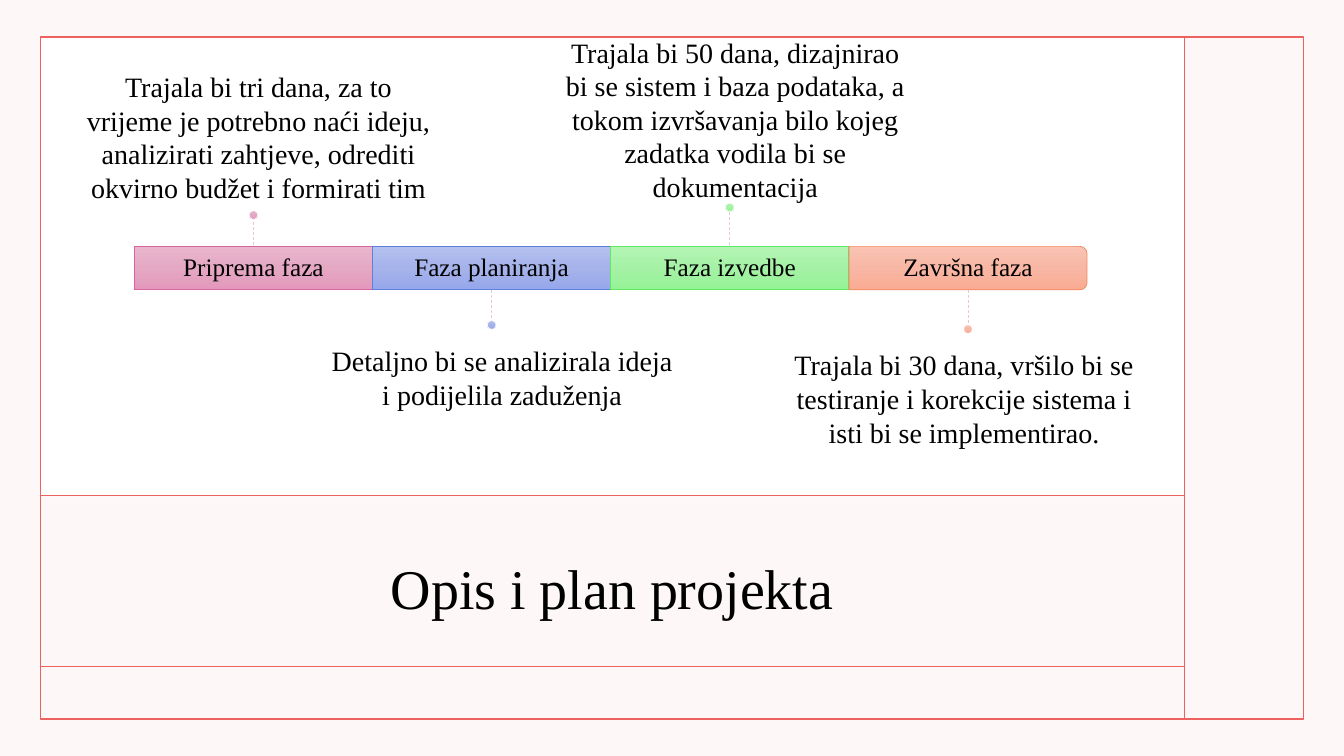
import copy
from dataclasses import dataclass

import pptx
import pptx.dml.color
import pptx.enum.dml
import pptx.enum.shapes
import pptx.enum.text
import pptx.oxml
import pptx.oxml.ns
import pptx.util

Pt = pptx.util.Pt
Kind = pptx.enum.shapes.MSO_SHAPE
Anchor = pptx.enum.text.MSO_ANCHOR


@dataclass(frozen=True)
class Theme:
    font: str = "Times New Roman"
    ink: str = "000000"
    paper: str = "FEF7F7"
    white: str = "FFFFFF"
    rule: str = "ED625F"
    stalk: str = "EBC6D5"
    title: int = 40
    note: int = 20
    label: int = 18


THEME = Theme()

# Label, gradient, outline, whether the note is above, dot top, note top, note left, note height, note
PHASES = [
    ("Priprema faza", ("E9B6CD", "E4A8C3", "E398BB"), "D4669D", True, 150.5, 46, 52, 104.5,
     "Trajala bi tri dana, za to vrijeme je potrebno naći ideju, "
     "analizirati zahtjeve, odrediti okvirno budžet i formirati tim"),
    ("Faza planiranja", ("B4C0EF", "A6B3EB", "96A7EB"), "617FDF", False, 229, 242, 226, 55.5,
     "Detaljno bi se analizirala ideja i podijelila zaduženja"),
    ("Faza izvedbe", ("B4F5B5", "A5F2A6", "95F396"), "5DE960", True, 145, 21.5, 392.5, 128,
     "Trajala bi 50 dana, dizajnirao bi se sistem i baza podataka, a tokom "
     "izvršavanja bilo kojeg zadatka vodila bi se dokumentacija"),
    ("Završna faza", ("FAC3B3", "F8B7A4", "FAAB93"), "F2855A", False, 232, 245, 556, 80,
     "Trajala bi 30 dana, vršilo bi se testiranje i korekcije sistema i isti bi se implementirao."),
]


def tint(code):
    return pptx.dml.color.RGBColor.from_string(code)


def blend(item, codes, angle):
    """Fill a shape with an even three-stop gradient."""
    item.fill.gradient()
    item.fill.gradient_angle = angle
    stops = item._element.spPr.find(".//" + pptx.oxml.ns.qn("a:gsLst"))
    stops.insert(1, copy.deepcopy(stops[0]))
    for rank, (stop, code) in enumerate(zip(item.fill.gradient_stops, codes)):
        stop.position = rank / 2
        stop.color.rgb = tint(code)


def shape(slide, kind, box, fill=None, line=None, width=1, angle=270):
    item = slide.shapes.add_shape(kind, *map(Pt, box))
    item.shadow.inherit = False
    if isinstance(fill, tuple):
        blend(item, fill, angle)
    elif fill:
        item.fill.solid()
        item.fill.fore_color.rgb = tint(fill)
    else:
        item.fill.background()
    if line:
        item.line.color.rgb = tint(line)
        item.line.width = Pt(width)
    else:
        item.line.fill.background()
    return item


def rule(slide, start, end, color, width=1, dash=None):
    straight = pptx.enum.shapes.MSO_CONNECTOR.STRAIGHT
    item = slide.shapes.add_connector(straight, *map(Pt, start + end))
    item.line.color.rgb = tint(color)
    item.line.width = Pt(width)
    if dash:
        item.line.dash_style = dash
    item._element.spPr.append(pptx.oxml.parse_xml(
        f"<a:effectLst {pptx.oxml.ns.nsdecls('a')}/>"))


def write(item, text, size, anchor=Anchor.TOP, pad=None, gap=None):
    frame = item.text_frame
    frame.word_wrap = True
    frame.auto_size = pptx.enum.text.MSO_AUTO_SIZE.NONE
    frame.vertical_anchor = anchor
    if pad is not None:
        frame.margin_left = frame.margin_right = Pt(pad)
        frame.margin_top = frame.margin_bottom = 0
    para = frame.paragraphs[0]
    para.alignment = pptx.enum.text.PP_ALIGN.CENTER
    if gap:
        para.line_spacing = gap
    run = para.add_run()
    run.text = text
    run.font.name = THEME.font
    run.font.size = Pt(size)
    run.font.color.rgb = tint(THEME.ink)


def frame(slide, box):
    """Draw the ruled page frame with its white panel."""
    left, top, wide, high = box
    side = left + 817
    shape(slide, Kind.RECTANGLE, (left, top, 817, 328), fill=THEME.white)
    rule(slide, (side, top), (side, top + high), THEME.rule)
    for drop in (327.5, 449.5):
        rule(slide, (left, top + drop), (side, top + drop), THEME.rule)
    shape(slide, Kind.RECTANGLE, box, line=THEME.rule)


def head(slide, box):
    title = slide.shapes.title
    title.left, title.top, title.width, title.height = map(Pt, box)
    write(title, "Opis i plan projekta", THEME.title, anchor=Anchor.MIDDLE)


def phase(slide, box, data, last):
    """Draw one bar of the timeline with its stalk, dot and note."""
    label, shades, edge, above, dot, note_top, note_left, note_high, note = data
    left, top, wide, high = box
    mid = left + wide / 2
    if last:
        upright = (mid - high / 2, top + high / 2 - wide / 2, high, wide)
        bar = shape(slide, Kind.ROUND_2_SAME_RECTANGLE, upright, shades, edge, 0.5, angle=0)
        bar.rotation = 90
    else:
        shape(slide, Kind.RECTANGLE, box, shades, edge, 0.5)
    name = slide.shapes.add_textbox(*map(Pt, box))
    write(name, label, THEME.label, anchor=Anchor.MIDDLE, pad=3, gap=0.9)
    start, end = (top - 24.5, top) if above else (top + high, top + high + 25)
    rule(slide, (mid, start), (mid, end), THEME.stalk, 0.5,
         pptx.enum.dml.MSO_LINE.DASH)
    shape(slide, Kind.OVAL, (mid - 3.1, dot, 6.2, 6.2), shades, THEME.white, 0.5)
    area = slide.shapes.add_textbox(*map(Pt, (note_left, note_top, 265.5, note_high)))
    write(area, note, THEME.note)


def timeline(slide, box):
    left, top, wide, high = box
    step = wide / len(PHASES)
    for rank, data in enumerate(PHASES):
        phase(slide, (left + rank * step, top, step, high), data, rank == len(PHASES) - 1)


def main():
    deck = pptx.Presentation()
    deck.slide_width, deck.slide_height = Pt(960), Pt(540)
    slide = deck.slides.add_slide(deck.slide_layouts[5])
    slide.background.fill.solid()
    slide.background.fill.fore_color.rgb = tint(THEME.paper)
    frame(slide, (29, 26.5, 902, 487))
    head(slide, (66, 378, 742.5, 82))
    timeline(slide, (96, 176, 680.5, 31))
    deck.save("out.pptx")


if __name__ == "__main__":
    main()
